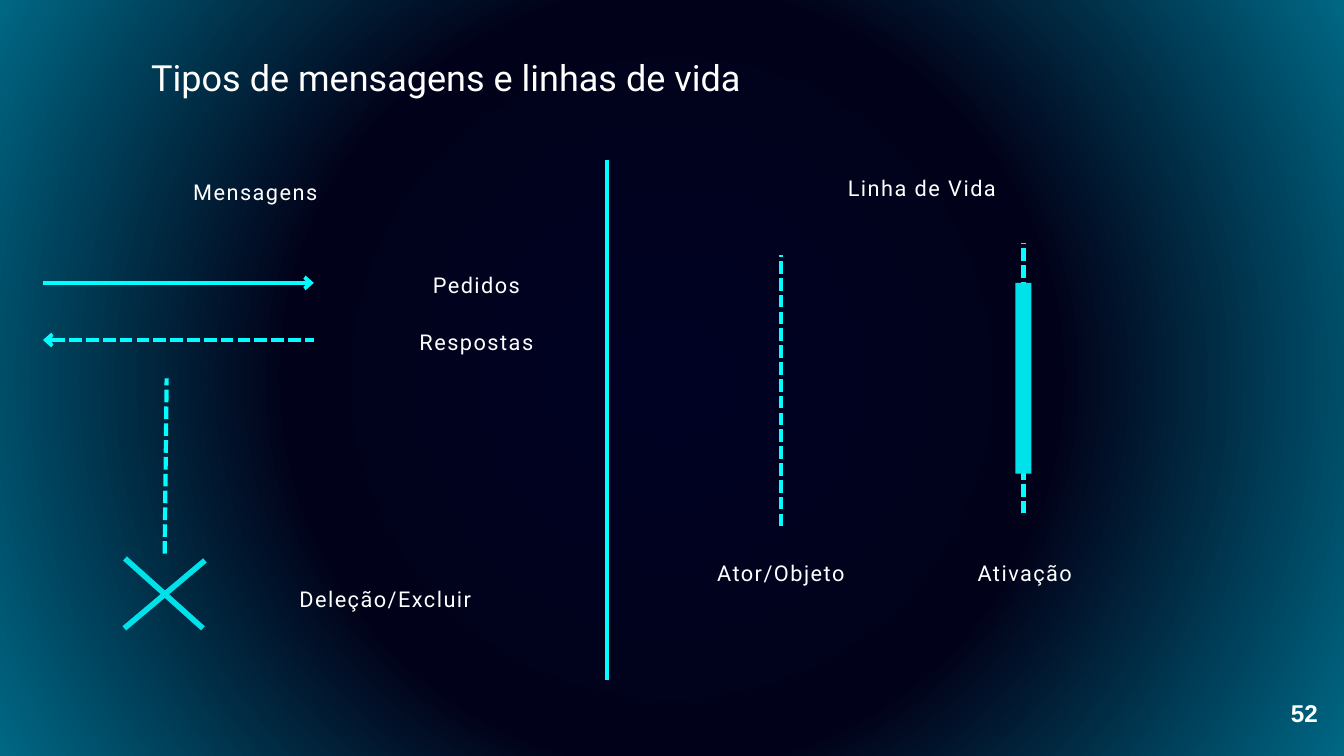
"""Builds the slide on message types and lifelines."""
from pptx import Presentation
from pptx.dml.color import RGBColor
from pptx.enum.dml import MSO_LINE
from pptx.enum.shapes import MSO_CONNECTOR, MSO_SHAPE
from pptx.enum.text import MSO_ANCHOR, MSO_AUTO_SIZE, PP_ALIGN
from pptx.oxml import parse_xml
from pptx.oxml.ns import nsdecls, qn
from pptx.util import Inches, Pt

STRAIGHT = MSO_CONNECTOR.STRAIGHT
RECTANGLE = MSO_SHAPE.RECTANGLE
DASH = MSO_LINE.SQUARE_DOT
TOP = MSO_ANCHOR.TOP
GROW = MSO_AUTO_SIZE.SHAPE_TO_FIT_TEXT
LEFT, CENTER = PP_ALIGN.LEFT, PP_ALIGN.CENTER

COLORS = {"center": "000224", "middle": "010219", "edge": "006884",
          "line": "01FFFF", "solid": "00E2EA", "text": "FEFFFF", "title": "FFFFFF"}
LABEL_W, LABEL_H = 3.88, 0.51


def rgb(name):
    """Return a palette colour."""
    return RGBColor.from_string(COLORS[name])


def set_background(s):
    """Fill the background with a circular gradient."""
    s.background.fill.solid()
    stops = "".join(
        f'<a:gs pos="{pos}"><a:srgbClr val="{COLORS[name]}"/></a:gs>'
        for pos, name in ((0, "center"), (50000, "middle"), (100000, "edge")))
    bg = s.element.find(".//" + qn("p:bgPr"))
    bg.replace(bg[0], parse_xml(
        f'<a:gradFill {nsdecls("a")} rotWithShape="1"><a:gsLst>{stops}</a:gsLst>'
        '<a:path path="circle"><a:fillToRect l="50000" t="50000" r="50000" b="50000"/>'
        '</a:path></a:gradFill>'))


def format_text(sp, text, size, spacing, color="text", font="Roboto", align=CENTER,
                tracking=0, bold=False):
    """Write one formatted line of text into a shape without margins."""
    tf = sp.text_frame
    tf.text = text
    tf.word_wrap = True
    tf.auto_size = GROW
    tf.vertical_anchor = TOP
    tf.margin_left = tf.margin_top = tf.margin_right = tf.margin_bottom = 0
    p = tf.paragraphs[0]
    p.alignment = align
    p.line_spacing = Pt(spacing)
    p.space_before = Pt(0)
    r = p.runs[0]
    r.font.size, r.font.name, r.font.bold = Pt(size), font, bold
    r.font.color.rgb = rgb(color)
    if tracking:
        r.font._element.set("spc", str(tracking))


def add_label(s, x, y, text, w=LABEL_W, color="text"):
    """Add a centred, letter-spaced label."""
    sp = s.shapes.add_textbox(Inches(x), Inches(y), Inches(w), Inches(LABEL_H))
    format_text(sp, text, 23.3, 39.1, color, tracking=160)


def add_line(s, x1, y1, x2, y2, color="line", width=4.5, dashed=False, arrow=None):
    """Add a straight line, optionally dashed or with an arrowhead."""
    line = s.shapes.add_connector(STRAIGHT, Inches(x1), Inches(y1), Inches(x2), Inches(y2))
    line.line.color.rgb = rgb(color)
    line.line.width = Pt(width)
    if dashed:
        line.line.dash_style = DASH
    if arrow:
        line.line._get_or_add_ln().append(parse_xml(
            f'<a:{arrow} {nsdecls("a")} type="arrow" w="med" len="sm"/>'))
    line._element.spPr.append(parse_xml(f'<a:effectLst {nsdecls("a")}/>'))


def add_title(s, x, y, w, h):
    """Place and format the title placeholder."""
    sp = s.shapes.title
    sp.left, sp.top, sp.width, sp.height = Inches(x), Inches(y), Inches(w), Inches(h)
    format_text(sp, "Tipos de mensagens e linhas de vida", 38.6, 54.1, "title", align=LEFT)


def add_messages(s, x, y):
    """Draw the message arrows and the deletion symbol."""
    add_label(s, x + 1.22, y, "Mensagens", color="title")
    rows = (("Pedidos", False, "tailEnd"), ("Respostas", True, "headEnd"))
    for i, (text, dashed, arrow) in enumerate(rows):
        line_y = y + 1.71 + 0.85 * i
        add_line(s, x, line_y, x + 4.03, line_y, dashed=dashed, arrow=arrow)
        add_label(s, x + 4.51, line_y - 0.32, text)
    add_line(s, x + 1.81, y + 5.74, x + 1.84, y + 3.13, dashed=True)
    add_line(s, x + 1.21, y + 6.85, x + 2.41, y + 5.84, "solid", 6)
    add_line(s, x + 2.38, y + 6.85, x + 1.22, y + 5.81, "solid", 6)
    add_label(s, x + 2.78, y + 6.06, "Deleção/Excluir", w=4.63)


def add_lifelines(s, x, y):
    """Draw the two lifelines, the second with its activation bar."""
    add_label(s, x + 2.1, y, "Linha de Vida", color="title")
    for dx, dy, label_dx, text in ((1.94, 1.35, 0, "Ator/Objeto"),
                                   (5.55, 1.16, 3.63, "Ativação")):
        add_line(s, x + dx, y + dy + 4.03, x + dx, y + dy, dashed=True)
        add_label(s, x + label_dx, y + 5.72, text)
    bar = s.shapes.add_shape(RECTANGLE, Inches(x + 5.43), Inches(y + 1.76),
                             Inches(0.24), Inches(2.84))
    bar.shadow.inherit = False
    bar.fill.solid()
    bar.fill.fore_color.rgb = rgb("solid")
    bar.line.fill.background()


def add_page_number(s, x, y, w, h):
    """Add the page number."""
    sp = s.shapes.add_textbox(Inches(x), Inches(y), Inches(w), Inches(h))
    format_text(sp, "52", 26, 36.4, font="Arial", bold=True)


def main():
    """Build and save the slide."""
    prs = Presentation()
    prs.slide_width, prs.slide_height = Inches(20), Inches(11.25)
    s = prs.slides.add_slide(prs.slide_layouts[5])
    set_background(s)
    add_title(s, 2.25, 0.71, 17.22, 0.74)
    add_messages(s, 0.64, 2.5)
    add_line(s, 9.03, 10.12, 9.03, 2.38)
    add_lifelines(s, 9.68, 2.45)
    add_page_number(s, 19.16, 10.32, 0.5, 0.48)
    prs.save("out.pptx")


if __name__ == "__main__":
    main()
